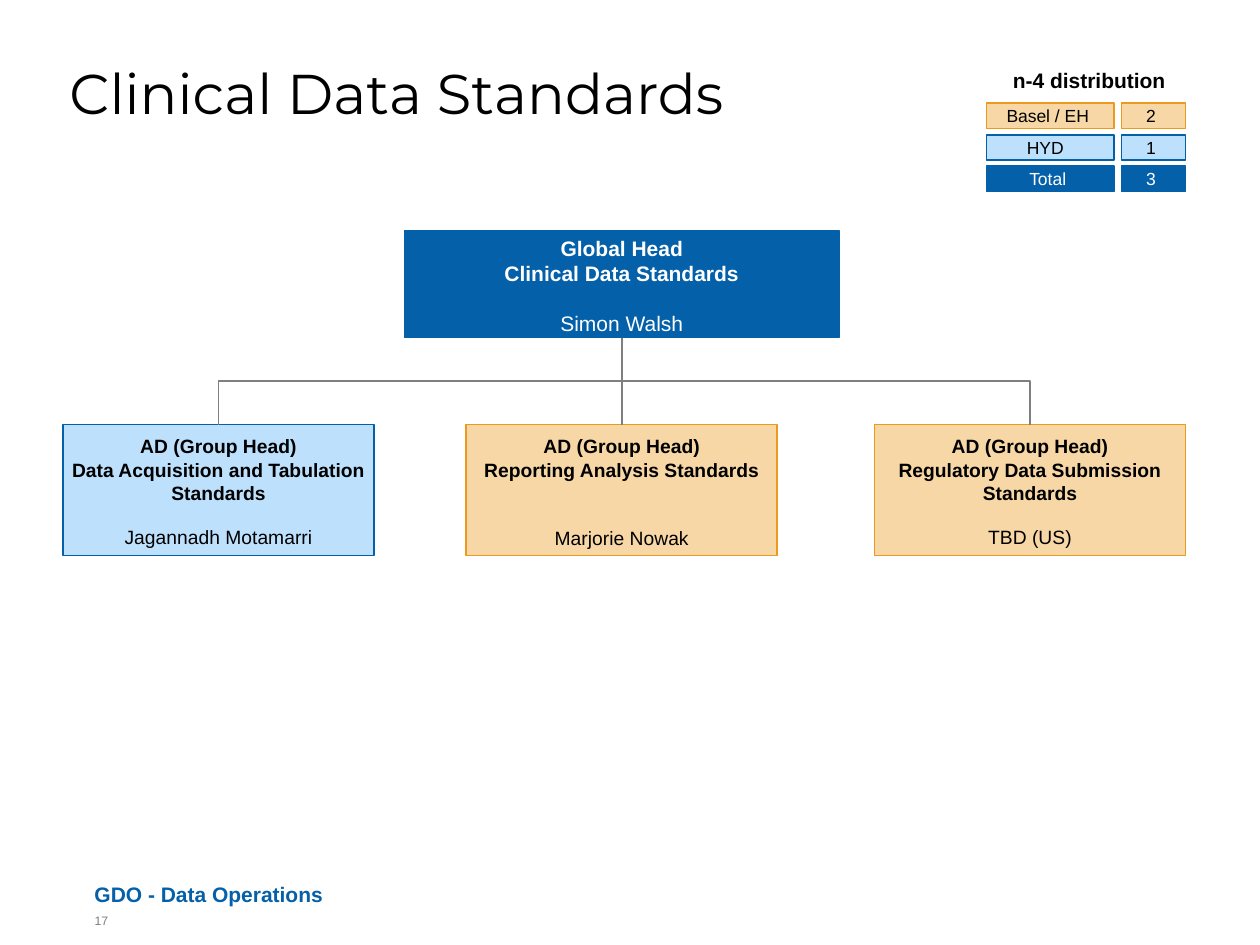
from dataclasses import dataclass

from lxml import etree
from pptx import Presentation
from pptx.dml.color import RGBColor
from pptx.enum.shapes import MSO_CONNECTOR, MSO_SHAPE
from pptx.enum.text import MSO_ANCHOR, PP_ALIGN
from pptx.oxml.ns import qn
from pptx.util import Inches, Pt

RECTANGLE = MSO_SHAPE.RECTANGLE
STRAIGHT, ELBOW = MSO_CONNECTOR.STRAIGHT, MSO_CONNECTOR.ELBOW
LEFT, CENTER = PP_ALIGN.LEFT, PP_ALIGN.CENTER
TOP, MIDDLE, BOTTOM = MSO_ANCHOR.TOP, MSO_ANCHOR.MIDDLE, MSO_ANCHOR.BOTTOM


@dataclass(frozen=True)
class Theme:
    heading_font: str = "Montserrat"
    body_font: str = "Arial"
    blue: str = "0460A9"
    pale_blue: str = "BDE1FD"
    orange: str = "EC9A1E"
    pale_orange: str = "F7D7A5"
    gray: str = "7F7F7F"
    black: str = "000000"
    white: str = "FFFFFF"
    title_size: int = 32
    head_size: int = 12
    group_size: int = 11
    legend_size: int = 10
    number_size: int = 7
    line_width: int = 1


THEME = Theme()
HEAD_STYLE = {"fill": THEME.blue, "line": THEME.blue, "text": THEME.white}
INDIA_STYLE = {"fill": THEME.pale_blue, "line": THEME.blue, "text": THEME.black}
EUROPE_STYLE = {"fill": THEME.pale_orange, "line": THEME.orange, "text": THEME.black}


def set_font(target, size, color, bold=False, name=THEME.body_font):
    values = {"name": name, "size": Pt(size), "bold": bold}
    for attribute, value in values.items():
        setattr(target.font, attribute, value)
    target.font.color.rgb = RGBColor.from_string(color)


def set_frame(frame, margins, anchor):
    left, top, right, bottom = (Inches(margin) for margin in margins)
    values = {
        "margin_left": left,
        "margin_top": top,
        "margin_right": right,
        "margin_bottom": bottom,
        "vertical_anchor": anchor,
        "word_wrap": True,
    }
    for attribute, value in values.items():
        setattr(frame, attribute, value)


def add_label(slide, box, text, size, color, bold=False, margins=(0, 0, 0, 0), anchor=TOP):
    frame = slide.shapes.add_textbox(*map(Inches, box)).text_frame
    set_frame(frame, margins, anchor)
    frame.text = text
    frame.paragraphs[0].alignment = LEFT
    set_font(frame.paragraphs[0], size, color, bold)


def add_box(slide, box, style, margins, anchor):
    rectangle = slide.shapes.add_shape(RECTANGLE, *map(Inches, box))
    rectangle.shadow.inherit = False
    rectangle.fill.solid()
    rectangle.fill.fore_color.rgb = RGBColor.from_string(style["fill"])
    rectangle.line.color.rgb = RGBColor.from_string(style["line"])
    rectangle.line.width = Pt(THEME.line_width)
    set_frame(rectangle.text_frame, margins, anchor)
    return rectangle


def add_position(slide, box, role, person, style, size, gap, margin):
    position = add_box(slide, box, style, (0.04, margin, 0.04, margin), TOP)
    frame = position.text_frame
    frame.text = role
    name = frame.add_paragraph()
    name.text = person
    name.space_before = Pt(gap)
    for paragraph, bold in ((frame.paragraphs[0], True), (name, False)):
        paragraph.alignment = CENTER
        set_font(paragraph, size, style["text"], bold)
    return position


def style_connector(connector):
    connector.line.color.rgb = RGBColor.from_string(THEME.gray)
    connector.line.width = Pt(THEME.line_width)
    etree.SubElement(connector._element.spPr, qn("a:effectLst"))


def connect(slide, head, group):
    start_x, start_y = head.left + head.width // 2, head.top + head.height
    end_x, end_y = group.left + group.width // 2, group.top
    if abs(end_x - start_x) < Inches(0.01):
        connector = slide.shapes.add_connector(STRAIGHT, start_x, start_y, end_x, end_y)
        connector.begin_connect(head, 2)
        connector.end_connect(group, 0)
    else:
        drop, reach = end_y - start_y, abs(end_x - start_x)
        left = (start_x + end_x - drop) // 2
        top = (start_y + end_y - reach) // 2
        near, far, degrees = left, left + drop, 90
        if end_x > start_x:
            near, far, degrees = far, near, 270
        connector = slide.shapes.add_connector(ELBOW, near, top, far, top + reach)
        connector._element.spPr.find(qn("a:xfrm")).set("rot", str(degrees * 60000))
    style_connector(connector)


def add_title(slide, box, text):
    title = slide.shapes.title
    title.left, title.top, title.width, title.height = map(Inches, box)
    set_frame(title.text_frame, (0, 0, 0, 0), TOP)
    title.text_frame.text = text
    paragraph = title.text_frame.paragraphs[0]
    paragraph.alignment = LEFT
    paragraph.line_spacing = 0.95
    set_font(paragraph, THEME.title_size, THEME.black, name=THEME.heading_font)


def add_distribution(slide, box):
    left, top, width, height = box
    add_label(slide, (left + 0.11, top, 1.54, 0.3), "n-4 distribution",
              THEME.head_size, THEME.black, True, (0.1, 0.05, 0.1, 0.05))
    rows = [
        ("Basel / EH", "2", EUROPE_STYLE),
        ("HYD ", "1", INDIA_STYLE),
        ("Total", "3", HEAD_STYLE),
    ]
    row_height, count_width, site_width = 0.2, 0.51, 1.01
    pitch = 0.25
    first_row = top + height - row_height - pitch * (len(rows) - 1)
    for index, (site, count, style) in enumerate(rows):
        row_top = first_row + index * pitch
        cells = (
            (site, left, site_width),
            (count, left + width - count_width, count_width),
        )
        for text, cell_left, cell_width in cells:
            cell = add_box(slide, (cell_left, row_top, cell_width, row_height),
                           style, (0, 0, 0.04, 0), MIDDLE)
            cell.text_frame.text = text
            paragraph = cell.text_frame.paragraphs[0]
            paragraph.alignment = CENTER
            set_font(paragraph, THEME.legend_size, style["text"])


def add_organization(slide, box):
    left, top, width, height = box
    head_width, head_height = 3.45, 0.85
    group_width, group_height = 2.47, 1.04
    head = add_position(
        slide, (left + (width - head_width) / 2 - 0.02, top, head_width, head_height),
        "Global Head\vClinical Data Standards", "Simon Walsh",
        HEAD_STYLE, THEME.head_size, 14, 0.04)
    groups = [
        (0.5, "Data Acquisition and Tabulation Standards", "Jagannadh Motamarri", INDIA_STYLE, 12),
        (3.7, "Reporting Analysis Standards", "Marjorie Nowak", EUROPE_STYLE, 26),
        (6.94, "Regulatory Data Submission Standards", "TBD (US)", EUROPE_STYLE, 12),
    ]
    for group_left, team, person, style, gap in groups:
        group = add_position(
            slide, (group_left, top + height - group_height, group_width, group_height),
            f"AD (Group Head)\v{team}", person, style, THEME.group_size, gap, 0.08)
        connect(slide, head, group)


def add_footer(slide, box):
    left, top, width, height = box
    add_label(slide, (left, top, width, height), "GDO - Data Operations",
              THEME.head_size, THEME.blue, True, anchor=BOTTOM)
    add_label(slide, (left, top + 0.3, 0.25, 0.25), "17", THEME.number_size, THEME.gray)


def main():
    presentation = Presentation()
    presentation.slide_width, presentation.slide_height = Inches(10), Inches(7.5)
    slide = presentation.slides.add_slide(presentation.slide_layouts[5])
    add_title(slide, (0.55, 0.5, 8.5, 1.05), "Clinical Data Standards")
    add_organization(slide, (0.5, 1.83, 8.91, 2.58))
    add_distribution(slide, (7.83, 0.49, 1.58, 1.03))
    add_footer(slide, (0.75, 6.95, 6.5, 0.25))
    presentation.save("out.pptx")


if __name__ == "__main__":
    main()
